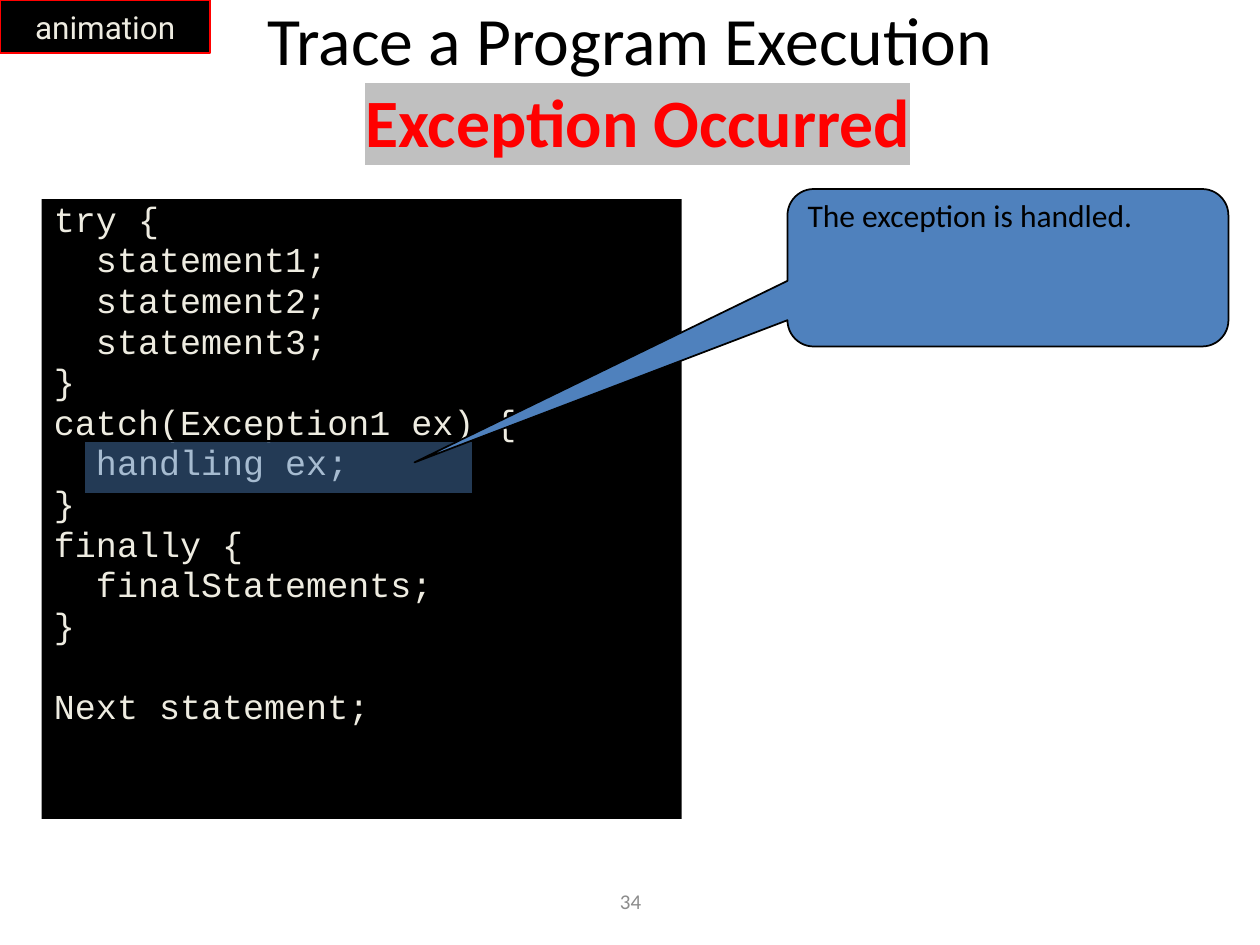
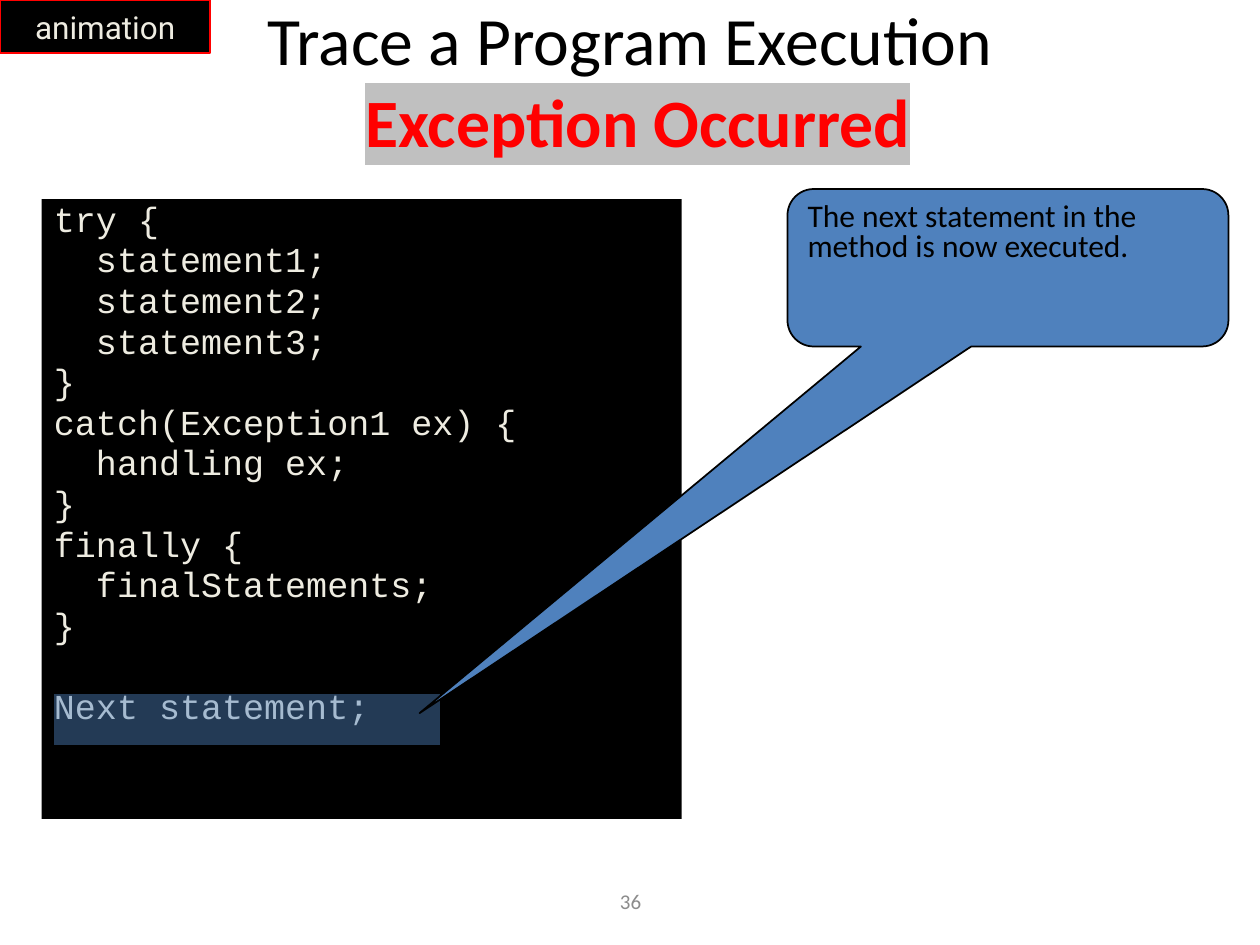
from pptx import Presentation
from pptx.dml.color import RGBColor
from pptx.enum.shapes import MSO_SHAPE
from pptx.enum.text import MSO_ANCHOR, PP_ALIGN
from pptx.oxml.ns import qn
from pptx.util import Inches, Pt
from lxml import etree

RECTANGLE = MSO_SHAPE.RECTANGLE
CALLOUT = MSO_SHAPE.ROUNDED_RECTANGULAR_CALLOUT
TOP, MIDDLE = MSO_ANCHOR.TOP, MSO_ANCHOR.MIDDLE
LEFT, CENTER = PP_ALIGN.LEFT, PP_ALIGN.CENTER

BLACK = RGBColor(0x00, 0x00, 0x00)
RED = RGBColor(0xFF, 0x00, 0x00)
CREAM = RGBColor(0xEE, 0xEC, 0xE1)
BLUE = RGBColor(0x4F, 0x81, 0xBD)
GRAY = RGBColor(0x8C, 0x8C, 0x8C)
MARKER = "C0C0C0"

LINE_SPACING = 0.8
LINE_GAP = 4
BLANK_LINE = 23.3
CODE = """try {
  statement1;
  statement2;
  statement3;
}
catch(Exception1 ex) {
  handling ex;
}
finally {
  finalStatements;
}

Next statement;"""

STEPS = [
    ("34", (0.67, 3.5), (3.29, 3.67), "The exception is handled."),
    ("36", (0.42, 5.5), (3.33, 5.66),
     "The next statement in the method is now executed."),
]


def style(paragraph, name, size, color, align=LEFT):
    paragraph.alignment = align
    paragraph.font.name = name
    paragraph.font.size = Pt(size)
    paragraph.font.color.rgb = color


def add_box(slide, kind, left, top, width, height, fill, line=None):
    shape = slide.shapes.add_shape(
        kind, Inches(left), Inches(top), Inches(width), Inches(height))
    shape.shadow.inherit = False
    shape.fill.solid()
    shape.fill.fore_color.rgb = fill
    if line is None:
        shape.line.fill.background()
    else:
        shape.line.color.rgb = line
        shape.line.width = Pt(1)
    shape.text_frame.vertical_anchor = TOP
    return shape


def add_text_box(slide, left, top, width, height):
    box = slide.shapes.add_textbox(
        Inches(left), Inches(top), Inches(width), Inches(height))
    box.text_frame.word_wrap = True
    box.text_frame.vertical_anchor = MIDDLE
    return box.text_frame.paragraphs[0]


def add_page_number(slide, number):
    paragraph = add_text_box(slide, 3.42, 6.95, 3.17, 0.4)
    paragraph.text = number
    style(paragraph, "Calibri", 12, GRAY, CENTER)


def add_title(slide):
    paragraph = add_text_box(slide, 0.75, 0.34, 8.5, 0.58)
    style(paragraph, "Calibri", 38.7, BLACK, CENTER)
    paragraph.add_run().text = "Trace a Program Execution"
    paragraph.add_line_break()
    paragraph.add_run().text = " "
    event = paragraph.add_run()
    event.text = "Exception Occurred"
    event.font.bold = True
    event.font.color.rgb = RED
    highlight = etree.SubElement(event.font._element, qn("a:highlight"))
    etree.SubElement(highlight, qn("a:srgbClr"), val=MARKER)


def add_tag(slide):
    tag = add_box(slide, RECTANGLE, 0, 0, 1.67, 0.42, BLACK, RED)
    frame = tag.text_frame
    frame.word_wrap = False
    frame.vertical_anchor = MIDDLE
    frame.text = "animation"
    style(frame.paragraphs[0], "Roboto", 18, CREAM, CENTER)


def add_code(slide):
    frame = add_box(slide, RECTANGLE, 0.33, 1.58, 5.08, 4.92, BLACK).text_frame
    frame.word_wrap = True
    paragraph = frame.paragraphs[0]
    gap = 0
    for line in CODE.split("\n"):
        if not line:
            gap += BLANK_LINE
            continue
        if paragraph.text:
            paragraph = frame.add_paragraph()
        paragraph.text = line
        paragraph.line_spacing = LINE_SPACING
        paragraph.space_before = Pt(gap)
        style(paragraph, "Courier New", 20, CREAM)
        gap = LINE_GAP


def add_current_line(slide, left, top):
    bar = add_box(slide, RECTANGLE, left, top, 3.08, 0.42, BLUE, BLACK)
    color = bar._element.spPr.find(qn("a:solidFill")).find(qn("a:srgbClr"))
    etree.SubElement(color, qn("a:alpha"), val="45000")


def add_callout(slide, text, tip_x, tip_y):
    left, top, width, height = 6.25, 1.5, 3.5, 1.25
    callout = add_box(slide, CALLOUT, left, top, width, height, BLUE, BLACK)
    callout.adjustments[0] = (tip_x - left) / width - 0.5
    callout.adjustments[1] = (tip_y - top) / height - 0.5
    callout.adjustments[2] = 0.167
    frame = callout.text_frame
    frame.word_wrap = True
    frame.text = text
    frame.paragraphs[0].line_spacing = LINE_SPACING
    style(frame.paragraphs[0], "Calibri", 18, BLACK)


def main():
    presentation = Presentation()
    presentation.slide_width = Inches(10)
    presentation.slide_height = Inches(7.5)
    for number, current_line, tip, explanation in STEPS:
        slide = presentation.slides.add_slide(presentation.slide_layouts[6])
        add_page_number(slide, number)
        add_title(slide)
        add_tag(slide)
        add_code(slide)
        add_current_line(slide, *current_line)
        add_callout(slide, explanation, *tip)
    presentation.save("out.pptx")


if __name__ == "__main__":
    main()
